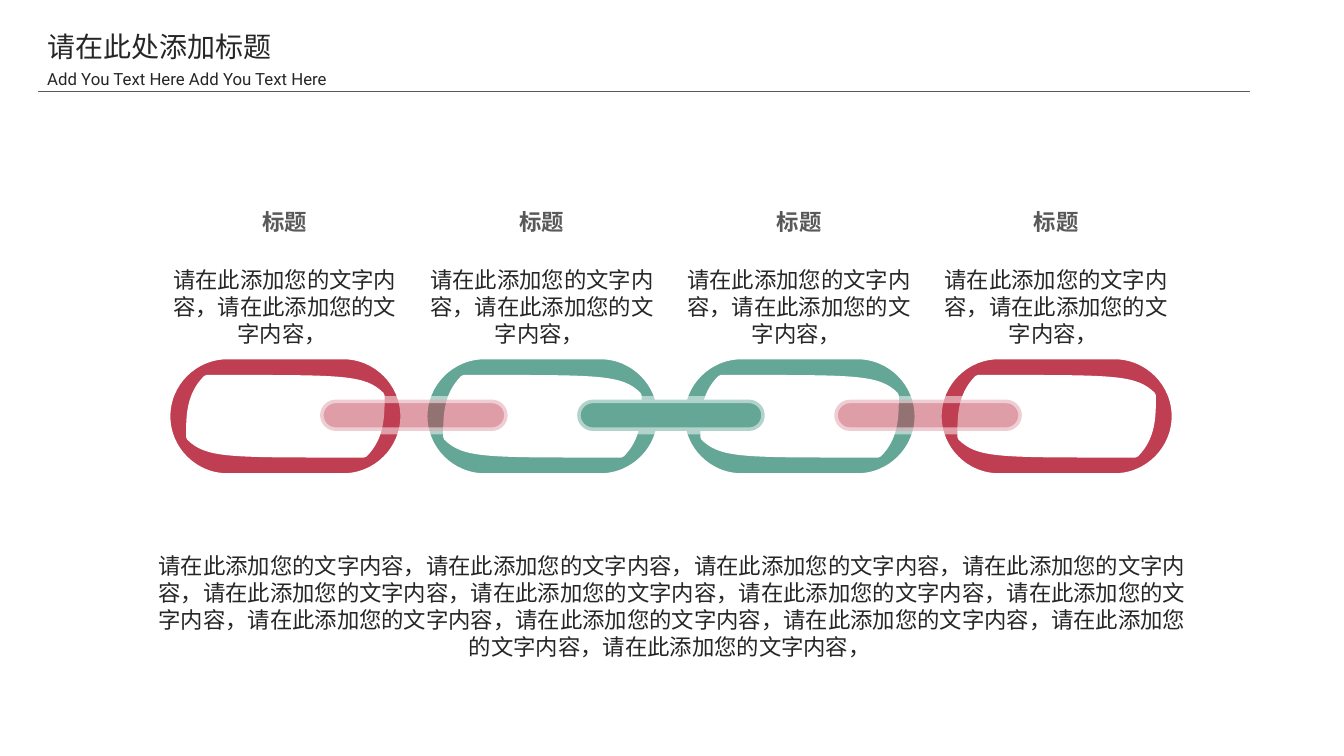
"""Build a slide with a chain of four titled links."""
from dataclasses import dataclass

from lxml import etree
from pptx import Presentation
from pptx.dml.color import RGBColor
from pptx.enum import shapes, text
from pptx.oxml import ns
from pptx.util import Inches, Pt


@dataclass(frozen=True)
class Theme:
    """Colours, type sizes and line widths of the slide."""
    font: str = "Roboto"
    red: str = "C03E51"
    green: str = "64A797"
    white: str = "FFFFFF"
    ink: str = "262626"
    gray: str = "595959"
    title: int = 20
    subtitle: int = 12
    body: int = 16
    outline: int = 5
    rule: float = 0.5


THEME = Theme()
PHRASE = "请在此添加您的文字内容，"
LINK_COLORS = (THEME.red, THEME.green, THEME.green, THEME.red)
BARS = ((THEME.red, 50), (THEME.green, 100), (THEME.red, 50))
LINK_SIZES = ((2.35, 1.2), (1.9, 0.75))
BAR_SIZES = ((1.86, 0.31),)
FIRST_CENTER, PITCH = 2.83, 2.55
LINK_Y, BAR_Y = 4.13, 4.12
SEGMENTS, CURVE_STARTS = 14, (1, 4, 8, 11)


def set_paint(fill, color, opacity=100):
    """Fill with a solid colour of the given opacity in percent."""
    fill.solid()
    fill.fore_color.rgb = RGBColor.from_string(color)
    if opacity < 100:
        tag = fill.fore_color._xFill.find(ns.qn("a:srgbClr"))
        etree.SubElement(tag, ns.qn("a:alpha"), val=str(opacity * 1000))


def capsule(x, y, width, height):
    """Return the corner and control points of a capsule around a centre."""
    radius = height / 2
    flat = width / 2 - radius
    pull = 0.55 * radius
    half = [(flat, -radius), (flat + pull, -radius), (flat + radius, -pull),
            (flat + radius, 0), (flat + radius, pull), (flat + pull, radius),
            (flat, radius)]
    points = half + [(-dx, -dy) for dx, dy in half]
    points.insert(0, points[-1])
    return [(Inches(x + dx), Inches(y + dy)) for dx, dy in points]


def bend_corners(shape):
    """Turn each run of three corner segments into one curve."""
    lines = list(shape._element.iter(ns.qn("a:lnTo")))
    for base in range(0, len(lines), SEGMENTS):
        for start in CURVE_STARTS:
            curve, *rest = lines[base + start:base + start + 3]
            curve.tag = ns.qn("a:cubicBezTo")
            for line in rest:
                curve.append(line[0])
                line.getparent().remove(line)


def add_capsule(page, center, sizes, color, opacity=100, line_opacity=100):
    """Draw a capsule, hollow if a second size is given."""
    x, y = center
    contours = [capsule(x, y, *size) for size in sizes]
    builder = page.shapes.build_freeform(*contours[0][0])
    for index, points in enumerate(contours):
        if index:
            points.reverse()
            builder.move_to(*points[0])
        builder.add_line_segments(points[1:], close=True)
    shape = builder.convert_to_shape()
    bend_corners(shape)
    shape.shadow.inherit = False
    set_paint(shape.fill, color, opacity)
    set_paint(shape.line.fill, THEME.white, line_opacity)
    shape.line.width = Pt(THEME.outline)


def add_text(page, words, area, size, color=THEME.ink, bold=False,
             align=text.PP_ALIGN.CENTER, spacing=None, wrap=True):
    """Add a one-paragraph text box."""
    box = page.shapes.add_textbox(*map(Inches, area))
    box.text_frame.word_wrap = wrap
    box.text_frame.auto_size = text.MSO_AUTO_SIZE.SHAPE_TO_FIT_TEXT
    para = box.text_frame.paragraphs[0]
    para.text = words
    para.alignment = align
    para.line_spacing = spacing
    para.font.name = THEME.font
    para.font.size = Pt(size)
    para.font.bold = bold
    para.font.color.rgb = RGBColor.from_string(color)


def add_rule(page):
    """Draw the thin line under the heading."""
    rule = page.shapes.add_connector(
        shapes.MSO_CONNECTOR.STRAIGHT, Inches(0.38), Inches(0.91),
        Inches(12.4), Inches(0.91))
    set_paint(rule.line.fill, THEME.gray)
    rule.line.width = Pt(THEME.rule)
    etree.SubElement(rule._element.spPr, ns.qn("a:effectLst"))


def main():
    """Build and save the deck."""
    deck = Presentation()
    deck.slide_width, deck.slide_height = Inches(13.33), Inches(7.5)
    page = deck.slides.add_slide(deck.slide_layouts[6])
    centers = [FIRST_CENTER + PITCH * i for i in range(len(LINK_COLORS))]
    for center, color in zip(centers, LINK_COLORS):
        add_capsule(page, (center, LINK_Y), LINK_SIZES, color)
    for center, (color, opacity) in zip(centers, BARS):
        add_capsule(page, (center + PITCH / 2, BAR_Y), BAR_SIZES, color,
                    opacity, line_opacity=50)
    for center in centers:
        add_text(page, "标题", (center - 0.33, 2.02, 0.65, 0.37), THEME.body,
                 THEME.gray, bold=True, wrap=False)
        add_text(page, PHRASE * 2 + " ", (center - 1.3, 2.59, 2.59, 0.91),
                 THEME.body)
    add_text(page, PHRASE * 13 + " ", (1.41, 5.43, 10.52, 1.18), THEME.body)
    add_text(page, "请在此处添加标题", (0.37, 0.24, 2.75, 0.44), THEME.title,
             align=text.PP_ALIGN.LEFT)
    add_text(page, "Add You Text Here Add You Text Here",
             (0.37, 0.57, 3.34, 0.34), THEME.subtitle,
             align=text.PP_ALIGN.LEFT, spacing=1.3)
    add_rule(page)
    deck.save("out.pptx")


if __name__ == "__main__":
    main()
